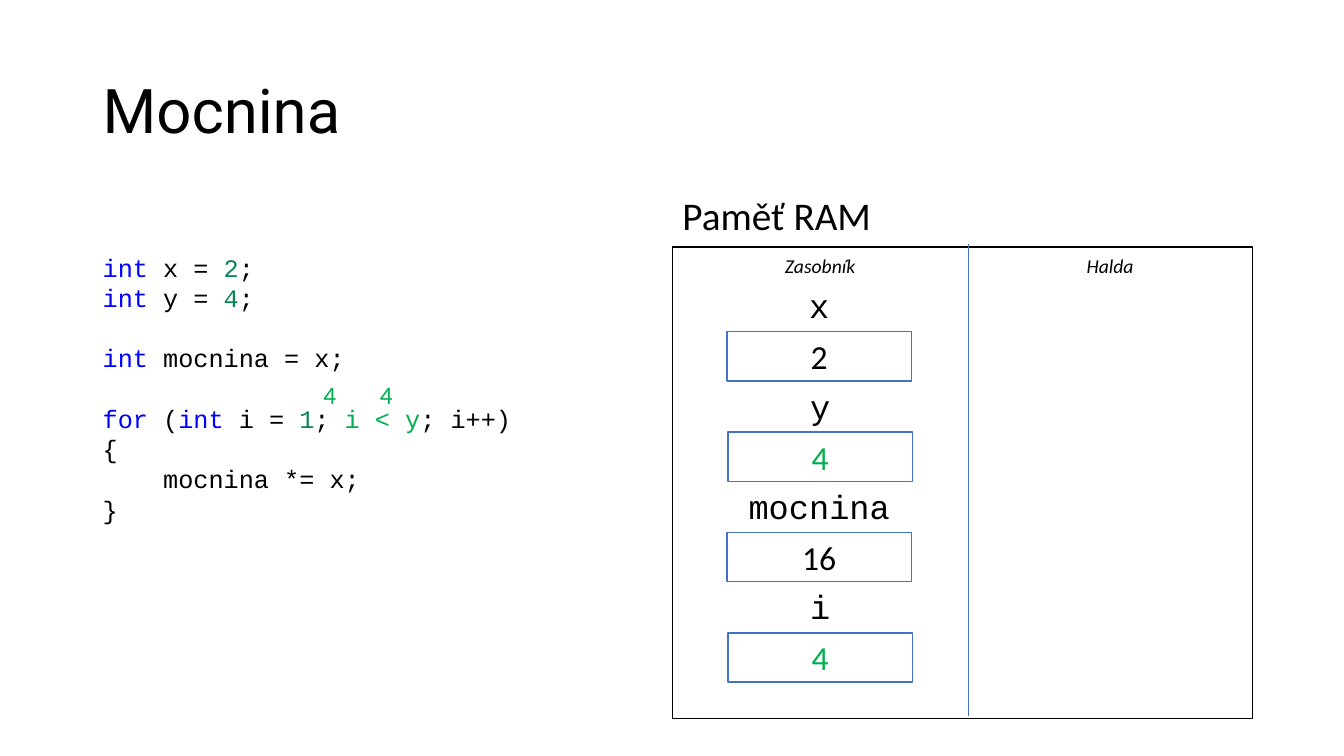
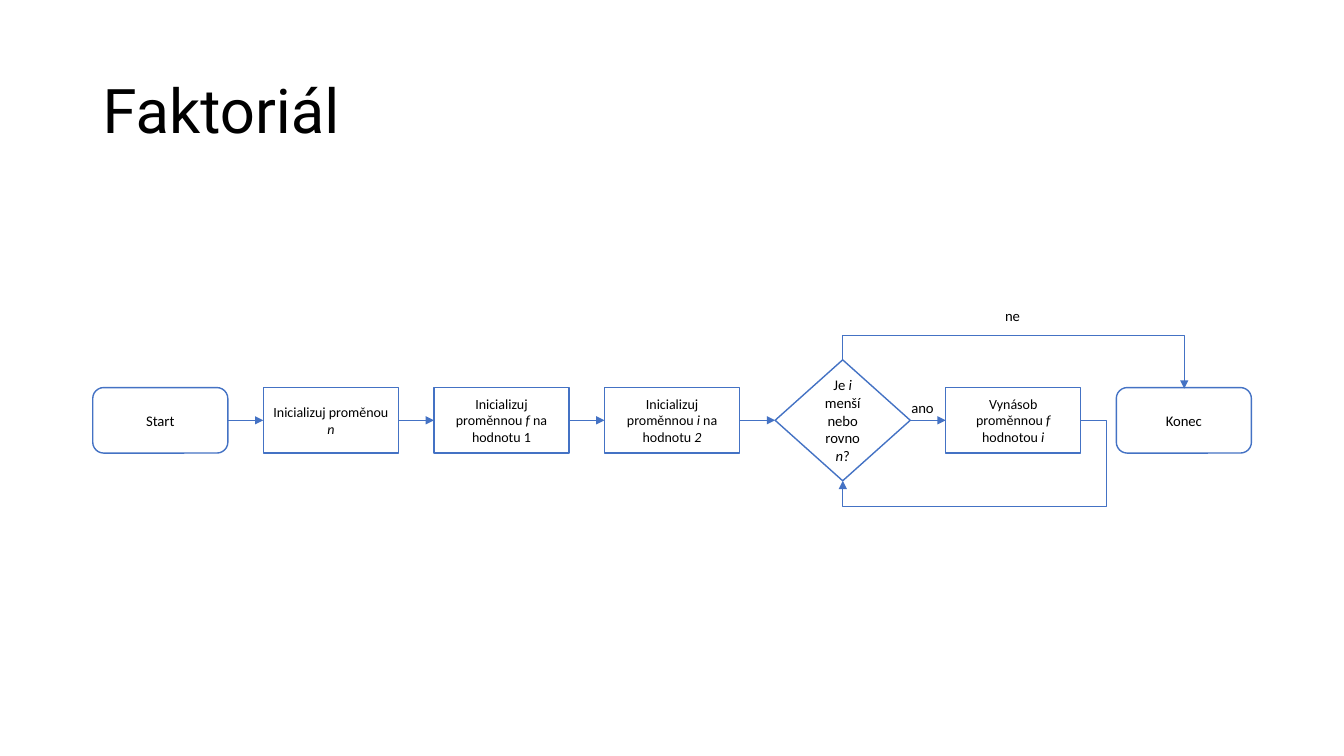
from dataclasses import dataclass
from typing import NamedTuple

from lxml import etree
from pptx import Presentation
from pptx.dml.color import RGBColor
from pptx.enum.shapes import MSO_CONNECTOR, MSO_SHAPE
from pptx.enum.text import MSO_ANCHOR, PP_ALIGN
from pptx.oxml.ns import qn
from pptx.util import Inches, Pt

RECTANGLE = MSO_SHAPE.RECTANGLE
ROUNDED = MSO_SHAPE.ROUNDED_RECTANGLE
DIAMOND = MSO_SHAPE.DIAMOND
STRAIGHT = MSO_CONNECTOR.STRAIGHT
ELBOW = MSO_CONNECTOR.ELBOW
LEFT = PP_ALIGN.LEFT
CENTER = PP_ALIGN.CENTER
TOP = MSO_ANCHOR.TOP
MIDDLE = MSO_ANCHOR.MIDDLE

# Shared style
BLACK, WHITE, BLUE = "000000", "FFFFFF", "4472C4"
GREEN, KEYWORD, NUMBER = "00B050", "0000FF", "098658"
BODY_FONT, CODE_FONT, TITLE_FONT = "Calibri", "Courier New", "Roboto"


class Box(NamedTuple):
    left: float
    top: float
    width: float
    height: float


class Run(NamedTuple):
    text: str
    color: str | None = None
    italic: bool = False


@dataclass
class Style:
    size: float
    font: str = BODY_FONT
    color: str = BLACK
    italic: bool = False
    align: PP_ALIGN = LEFT
    anchor: MSO_ANCHOR = TOP


@dataclass
class Variable:
    name: str
    value: str
    color: str = BLACK


@dataclass
class Step:
    runs: list[Run]
    kind: MSO_SHAPE = RECTANGLE
    size: float = 10
    height: float = 0.65


@dataclass
class CodeLine:
    runs: list[Run]
    gap: float = 0


def rgb(color: str) -> RGBColor:
    return RGBColor.from_string(color)


def write_paragraph(paragraph, runs: list[Run], style: Style) -> None:
    paragraph.alignment = style.align
    font = paragraph.font
    font.name, font.size, font.italic = style.font, Pt(style.size), style.italic
    font.color.rgb = rgb(style.color)
    for part in runs:
        run = paragraph.add_run()
        run.text = part.text
        if part.color:
            run.font.color.rgb = rgb(part.color)
        if part.italic:
            run.font.italic = True


def add_text(slide, box: Box, runs: list[Run], style: Style):
    frame = slide.shapes.add_textbox(*map(Inches, box)).text_frame
    frame.word_wrap = True
    frame.vertical_anchor = style.anchor
    write_paragraph(frame.paragraphs[0], runs, style)
    return frame


def add_box(slide, kind: MSO_SHAPE, box: Box, line: str = BLUE):
    shape = slide.shapes.add_shape(kind, *map(Inches, box))
    shape.shadow.inherit = False
    shape.fill.solid()
    shape.fill.fore_color.rgb = rgb(WHITE)
    shape.line.color.rgb = rgb(line)
    shape.line.width = Pt(1)
    return shape


def add_labeled_box(slide, kind: MSO_SHAPE, box: Box, runs: list[Run], style: Style):
    shape = add_box(slide, kind, box)
    shape.text_frame.word_wrap = True
    shape.text_frame.vertical_anchor = MIDDLE
    write_paragraph(shape.text_frame.paragraphs[0], runs, style)
    return shape


def add_line(slide, kind: MSO_CONNECTOR, start: tuple[float, float],
             end: tuple[float, float], arrow: bool = True):
    connector = slide.shapes.add_connector(kind, *map(Inches, start + end))
    connector.line.color.rgb = rgb(BLUE)
    connector.line.width = Pt(0.5)
    if arrow:
        outline = connector.line._get_or_add_ln()
        etree.SubElement(outline, qn("a:tailEnd"), type="triangle")
    etree.SubElement(connector._element.spPr, qn("a:effectLst"))
    return connector


def bend(connector, preset: str, adjustments: list[float], rotation: int = 0) -> None:
    properties = connector._element.spPr
    if rotation:
        properties.find(qn("a:xfrm")).set("rot", str(rotation * 60000))
    geometry = properties.find(qn("a:prstGeom"))
    geometry.set("prst", preset)
    guides = geometry.find(qn("a:avLst"))
    for number, value in enumerate(adjustments, 1):
        etree.SubElement(guides, qn("a:gd"), name=f"adj{number}",
                         fmla=f"val {round(value * 100000)}")


def add_titled_slide(presentation, title: str):
    slide = presentation.slides.add_slide(presentation.slide_layouts[6])
    style = Style(44, TITLE_FONT, anchor=MIDDLE)
    frame = add_text(slide, Box(0.92, 0.4, 11.5, 1.45), [Run(title)], style)
    frame.paragraphs[0].line_spacing = 0.9
    return slide


# Power slide: code beside a memory diagram
CODE_SIZE = 18
BLANK_LINE = 21.6
INT = Run("int", KEYWORD)
CODE = [
    CodeLine([INT, Run(" x = "), Run("2", NUMBER), Run(";")]),
    CodeLine([INT, Run(" y = "), Run("4", NUMBER), Run(";")]),
    CodeLine([INT, Run(" mocnina = x;")], BLANK_LINE),
    CodeLine([Run("for", KEYWORD), Run(" ("), INT, Run(" i = "), Run("1", NUMBER),
              Run("; "), Run("i < y", GREEN), Run("; i++)")], BLANK_LINE),
    CodeLine([Run("{")]),
    CodeLine([Run("    mocnina *= x;")]),
    CodeLine([Run("}")]),
]
VARIABLES = [Variable("x", "2"), Variable("y", "4", GREEN),
             Variable("mocnina", "16"), Variable("i", "4", GREEN)]


def build_power_slide(presentation) -> None:
    slide = add_titled_slide(presentation, "Mocnina")

    # Memory frame
    add_box(slide, RECTANGLE, Box(6.67, 2.45, 5.75, 4.68), BLACK)
    add_text(slide, Box(6.67, 1.85, 5.75, 0.57), [Run("Paměť RAM")], Style(28))
    add_line(slide, STRAIGHT, (9.6, 7.1), (9.6, 2.42), arrow=False)
    heading = Style(14, italic=True, align=CENTER)
    for text, left, width in (("Zasobník", 6.67, 2.93), ("Halda", 9.6, 2.82)):
        add_text(slide, Box(left, 2.47, width, 0.34), [Run(text)], heading)

    # Variables on the stack
    for index, variable in enumerate(VARIABLES):
        left = 7.21 + 0.01 * (index % 2)
        top = 2.78 + index * 0.996
        add_text(slide, Box(left, top, 1.83, 0.5), [Run(variable.name)],
                 Style(24, CODE_FONT, align=CENTER))
        add_labeled_box(slide, RECTANGLE, Box(left, top + 0.51, 1.83, 0.49),
                        [Run(variable.value)],
                        Style(24, color=variable.color, align=CENTER))

    # Code and the current values in its condition
    code_style = Style(CODE_SIZE, CODE_FONT)
    frame = add_text(slide, Box(0.92, 2.45, 5.75, 3.43), CODE[0].runs, code_style)
    for line in CODE[1:]:
        paragraph = frame.add_paragraph()
        if line.gap:
            paragraph.space_before = Pt(line.gap)
        write_paragraph(paragraph, line.runs, code_style)
    for left in (3.11, 3.67):
        add_text(slide, Box(left, 3.71, 0.31, 0.4), [Run("4")],
                 Style(CODE_SIZE, color=GREEN))


# Factorial slide: flowchart
STEP_LEFT, STEP_PITCH, STEP_WIDTH, AXIS = 0.92, 1.692, 1.34, 4.17
N, F, I = (Run(letter, italic=True) for letter in "nfi")
STEPS = [
    Step([Run("Start")], ROUNDED, 10.5),
    Step([Run("Inicializuj proměnou "), N]),
    Step([Run("Inicializuj proměnnou "), F, Run(" na hodnotu 1")]),
    Step([Run("Inicializuj proměnnou "), I, Run(" na hodnotu "), Run("2", italic=True)]),
    Step([Run("Je "), I, Run(" menší nebo rovno "), N, Run("?")], DIAMOND, 10.5, 1.2),
    Step([Run("Vynásob proměnnou "), F, Run(" hodnotou "), I]),
    Step([Run("Konec")], ROUNDED, 10.5),
]
LAST_CHAINED = 5


def build_factorial_slide(presentation) -> None:
    slide = add_titled_slide(presentation, "Faktoriál")

    # Steps and the straight arrows between them
    previous = None
    for index, step in enumerate(STEPS):
        box = Box(STEP_LEFT + index * STEP_PITCH, AXIS - step.height / 2,
                  STEP_WIDTH, step.height)
        shape = add_labeled_box(slide, step.kind, box, step.runs,
                                Style(step.size, align=CENTER))
        if previous and index <= LAST_CHAINED:
            arrow = add_line(slide, STRAIGHT, (box.left - 0.35, AXIS), (box.left, AXIS))
            arrow.begin_connect(previous, 3)
            arrow.end_connect(shape, 1)
        previous = shape

    # Exit above the steps, loop below them
    leave = add_line(slide, ELBOW, (10.19, 2.02), (9.91, 5.41))
    bend(leave, "bentConnector3", [-0.904], rotation=270)
    loop = add_line(slide, ELBOW, (10.72, AXIS), (8.36, 4.77))
    bend(loop, "bentConnector4", [-0.106, 1.417])

    # Branch labels
    for text, box in (("ne", Box(9.87, 2.99, 0.37, 0.28)),
                      ("ano", Box(8.94, 3.91, 0.48, 0.28))):
        add_text(slide, box, [Run(text)], Style(10.5))


def main() -> None:
    presentation = Presentation()
    presentation.slide_width = Inches(13.33)
    presentation.slide_height = Inches(7.5)
    build_power_slide(presentation)
    build_factorial_slide(presentation)
    presentation.save("out.pptx")


if __name__ == "__main__":
    main()
